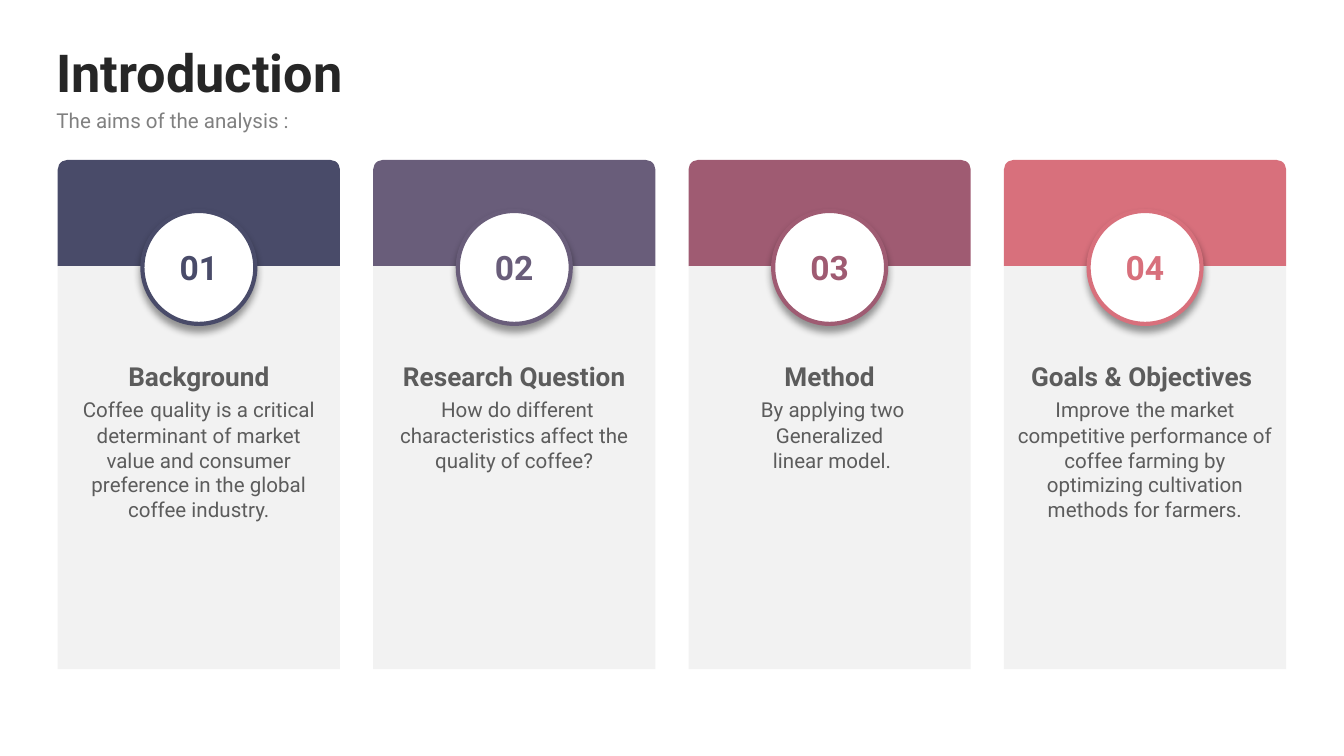
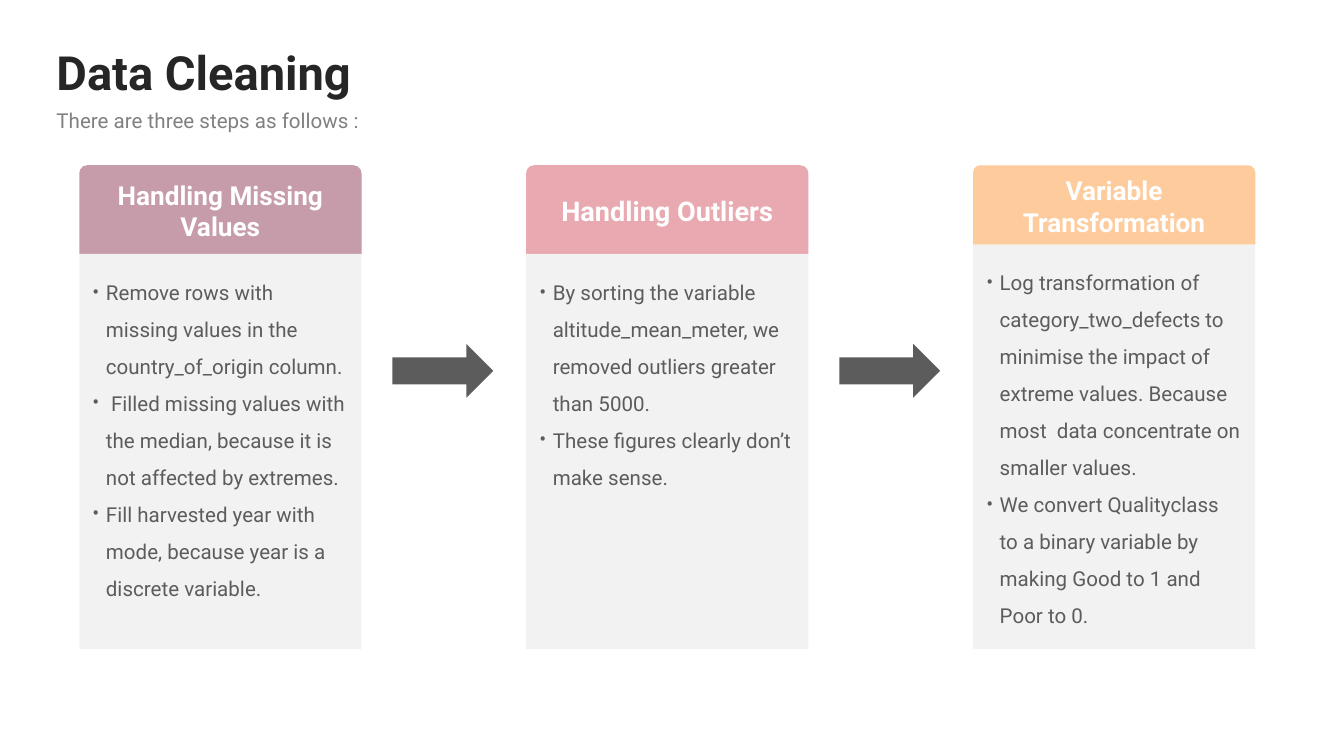
import copy
import pptx
import pptx.dml.color
import pptx.enum.shapes
import pptx.enum.text
import pptx.oxml
import pptx.oxml.ns
import pptx.util
import lxml.etree

Inches = pptx.util.Inches
Pt = pptx.util.Pt
Shape = pptx.enum.shapes.MSO_SHAPE
Align = pptx.enum.text.PP_ALIGN
Anchor = pptx.enum.text.MSO_ANCHOR
qn = pptx.oxml.ns.qn

FONT = "Roboto"
INK = "262626"
SUBTITLE = "808080"
BODY = "5C5C5C"
PANEL = "F2F2F2"
WHITE = "FFFFFF"
CARD_WIDTH = 2.1
CARD_MARGIN = 0.1
HEADING_SIZE = 14
BODY_SIZE = 11

AIMS = [
    ("494B69",
     [[("Background\v", True), ("Coffee", False), (" ", True),
       ("quality is a critical determinant of market value and consumer "
        "preference in the global coffee industry.", False)]]),
    ("695D7A",
     [[("Research Question", True)],
      [(" ", True),
       ("How do different characteristics affect the quality of coffee?", False)]]),
    ("9F5B72",
     [[("Method\v ", True), ("By applying two Generalized", False)],
      [(" linear model.", False)]]),
    ("D8707C",
     [[("Goals & Objectives \v", True), ("Improve", False), (" ", True),
       ("the market competitive performance of coffee farming by optimizing "
        "cultivation methods for farmers.", False)]]),
]

STEPS = [
    ("C69CAA", "Handling Missing Values", 14, 0.66,
     ["Remove rows with missing values in the country_of_origin column.",
      " Filled missing values with the median, because it is not affected by extremes.",
      "Fill harvested year with mode, because year is a discrete variable."]),
    ("E8A9B0", "Handling Outliers", 14.5, 0.66,
     ["By sorting the variable altitude_mean_meter, we removed outliers "
      "greater than 5000.",
      "These figures clearly don’t make sense."]),
    ("FECB9C", "Variable Transformation", 14, 0.59,
     ["Log transformation of category_two_defects to minimise the impact of "
      "extreme values. Because most  data concentrate on smaller values.",
      "We convert Qualityclass to a binary variable by making Good to 1 "
      "and Poor to 0."]),
]


def color(hex_code):
    return pptx.dml.color.RGBColor.from_string(hex_code)


def spread(first, last, count):
    return [first + (last - first) * index / (count - 1) for index in range(count)]


def style_span(span, size, hex_code, bold=False):
    span.font.name = FONT
    span.font.size = Pt(size)
    span.font.bold = bold
    span.font.color.rgb = color(hex_code)


def style_paragraph(para, size, hex_code, bold=False, align=Align.LEFT):
    para.alignment = align
    for span in para.runs:
        style_span(span, size, hex_code, bold)


def set_margins(frame, left, top, right, bottom):
    frame.margin_left = Inches(left)
    frame.margin_top = Inches(top)
    frame.margin_right = Inches(right)
    frame.margin_bottom = Inches(bottom)


def add_block(shapes, kind, left, top, width, height, fill):
    block = shapes.add_shape(kind, Inches(left), Inches(top), Inches(width), Inches(height))
    block.shadow.inherit = False
    block.fill.solid()
    block.fill.fore_color.rgb = color(fill)
    block.line.fill.background()
    return block


def add_label(block, text, size, hex_code):
    frame = block.text_frame
    frame.word_wrap = True
    frame.vertical_anchor = Anchor.MIDDLE
    frame.text = text
    style_paragraph(frame.paragraphs[0], size, hex_code, True, Align.CENTER)


def add_heading(page, text, top, height, size, hex_code, bold=False):
    box = page.shapes.add_textbox(Inches(0.42), Inches(top), Inches(9.15), Inches(height))
    frame = box.text_frame
    frame.word_wrap = True
    frame.vertical_anchor = Anchor.MIDDLE
    set_margins(frame, 0, 0, 0, 0)
    frame.text = text
    style_paragraph(frame.paragraphs[0], size, hex_code, bold)


def add_page(deck, title, title_size, subtitle):
    page = deck.slides.add_slide(deck.slide_layouts[6])
    add_heading(page, title, 0.31, 0.45, title_size, INK, True)
    add_heading(page, subtitle, 0.8, 0.19, BODY_SIZE, SUBTITLE)
    return page


def add_card(page, left, top, header_height, bottom, fill, top_margin):
    group = page.shapes.add_group_shape()
    header = add_block(group.shapes, Shape.ROUND_2_SAME_RECTANGLE,
                       left, top, CARD_WIDTH, header_height, fill)
    header.adjustments[0] = 0.09
    panel_top = top + header_height
    panel = add_block(group.shapes, Shape.RECTANGLE,
                      left, panel_top, CARD_WIDTH, bottom - panel_top, PANEL)
    frame = panel.text_frame
    frame.word_wrap = True
    frame.vertical_anchor = Anchor.TOP
    set_margins(frame, CARD_MARGIN, top_margin, CARD_MARGIN, 0.05)
    return header, frame


def add_bullet(para):
    properties = para._p.get_or_add_pPr()
    properties.set("marL", str(Inches(0.1)))
    properties.set("indent", str(Inches(-0.1)))
    lxml.etree.SubElement(properties, qn("a:buFont")).set("typeface", FONT)
    lxml.etree.SubElement(properties, qn("a:buChar")).set("char", "•")


def add_shadow(block):
    effects = block._element.spPr.find(qn("a:effectLst"))
    effects.append(pptx.oxml.parse_xml(
        f'<a:outerShdw {pptx.oxml.ns.nsdecls("a")} blurRad="{Pt(4)}" dist="{Pt(3)}" '
        'dir="5400000" algn="t" rotWithShape="0">'
        '<a:srgbClr val="000000"><a:alpha val="40000"/></a:srgbClr></a:outerShdw>'))


def add_badge(page, left, number, hex_code):
    badge = add_block(page.shapes, Shape.OVAL, left, 1.57, 0.84, 0.84, WHITE)
    badge.line.color.rgb = color(hex_code)
    badge.line.width = Pt(2.25)
    add_shadow(badge)
    add_label(badge, f"{number:02d}", 18, hex_code)


def add_span(para, text, is_heading):
    span = para.add_run()
    span.text = text
    style_span(span, HEADING_SIZE if is_heading else BODY_SIZE, BODY, is_heading)
    return span


def write_spans(para, spans):
    para.alignment = Align.CENTER
    for text, is_heading in spans:
        before, line_break, after = text.partition("\v")
        span = add_span(para, before, is_heading)
        if line_break:
            para.add_line_break()
            para._p[-1].append(copy.deepcopy(span._r.rPr))
        if after:
            add_span(para, after, is_heading)


def add_aim(page, left, fill, paragraphs):
    _, frame = add_card(page, left, 1.19, 0.79, 4.98, fill, 0.7)
    for index, spans in enumerate(paragraphs):
        write_spans(frame.add_paragraph() if index else frame.paragraphs[0], spans)


def add_step(page, left, fill, heading, size, header_height, lines):
    header, frame = add_card(page, left, 1.23, header_height, 4.83, fill, 0.1)
    add_label(header, heading, size, WHITE)
    frame.text = "\n".join(lines)
    for para in frame.paragraphs:
        style_paragraph(para, BODY_SIZE, BODY)
        para.line_spacing = 1.5
        add_bullet(para)


def build_introduction(deck):
    page = add_page(deck, "Introduction", 28, "The aims of the analysis :")
    lefts = spread(0.43, 7.47, len(AIMS))
    for left, aim in zip(lefts, AIMS):
        add_aim(page, left, *aim)
    for number, (left, aim) in enumerate(zip(lefts, AIMS), start=1):
        add_badge(page, left + 0.63, number, aim[0])


def build_data_cleaning(deck):
    page = add_page(deck, "Data Cleaning", 25.2, "There are three steps as follows :")
    lefts = spread(0.59, 7.24, len(STEPS))
    for left, step in zip(lefts, STEPS):
        add_step(page, left, *step)
    for left in lefts[:-1]:
        add_block(page.shapes, Shape.RIGHT_ARROW, left + 2.33, 2.56, 0.75, 0.4, BODY)


def main():
    deck = pptx.Presentation()
    deck.slide_width = Inches(10)
    deck.slide_height = deck.slide_width * 9 // 16
    build_introduction(deck)
    build_data_cleaning(deck)
    deck.save("out.pptx")


if __name__ == "__main__":
    main()
